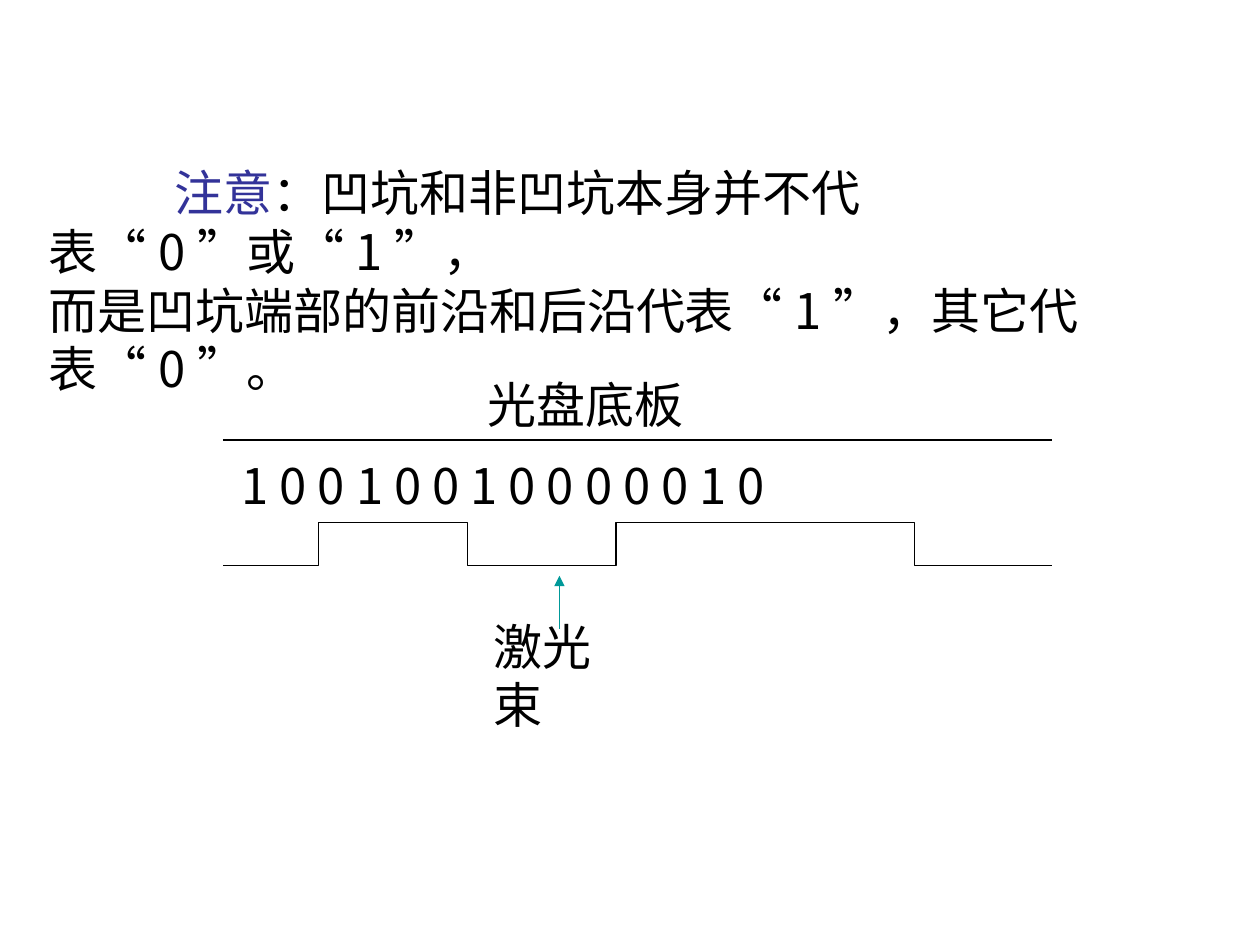
from itertools import groupby

from lxml import etree
from pptx import Presentation
from pptx.dml.color import RGBColor
from pptx.enum.shapes import MSO_CONNECTOR
from pptx.oxml.ns import qn
from pptx.util import Inches, Pt

STRAIGHT = MSO_CONNECTOR.STRAIGHT
CJK = "Noto Sans CJK SC"
LATIN = "Times New Roman"
BLACK, INDIGO, TEAL = "000000", "333399", "009999"
QUOTES = "“”"


def rgb(value):
    return RGBColor.from_string(value)


def add_run(p, text, font=CJK, size=28, color=BLACK):
    r = p.add_run()
    r.text = text
    r.font.size = Pt(size)
    r.font.name = font
    r.font.color.rgb = rgb(color)
    etree.SubElement(r.font._element, qn("a:ea")).set("typeface", CJK)


def add_box(s, x, y, w, h, wrap=True):
    sp = s.shapes.add_textbox(Inches(x), Inches(y), Inches(w), Inches(h))
    sp.text_frame.word_wrap = wrap
    return sp.text_frame


def add_label(s, text, x, y, w, h=0.57, **fmt):
    tf = add_box(s, x, y, w, h, wrap=fmt.pop("wrap", False))
    add_run(tf.paragraphs[0], text, **fmt)


def add_quoted(p, text):
    for is_quote, chars in groupby(text, lambda c: c in QUOTES):
        add_run(p, "".join(chars), font=LATIN if is_quote else CJK)


def add_line(s, x1, y1, x2, y2, color=BLACK, width=1, arrow=False):
    c = s.shapes.add_connector(STRAIGHT, Inches(x1), Inches(y1), Inches(x2), Inches(y2))
    c.line.color.rgb = rgb(color)
    c.line.width = Pt(width)
    if arrow:
        ln = c.line._get_or_add_ln()
        etree.SubElement(ln, qn("a:headEnd")).set("type", "triangle")
    etree.SubElement(c._element.spPr, qn("a:effectLst"))


def add_note(s, x, y, w, h):
    tf = add_box(s, x, y, w, h)
    p = tf.paragraphs[0]
    p._p.get_or_add_pPr().set("indent", str(Inches(1)))
    add_run(p, "注意", color=INDIGO)
    add_quoted(p, "：凹坑和非凹坑本身并不代表“0”或“1”，")
    add_quoted(tf.add_paragraph(), "而是凹坑端部的前沿和后沿代表“1”，其它代表“0”。")


def add_pit_profile(s, x, y, w, h):
    edges = [0.76, 1.94, 3.12, 5.49]
    points, level = [], h
    for edge in edges:
        points.append((edge, level))
        level = h - level
        points.append((edge, level))
    points.append((w, level))
    fb = s.shapes.build_freeform(Inches(x), Inches(y + h))
    fb.add_line_segments([(Inches(x + dx), Inches(y + dy)) for dx, dy in points], close=False)
    sp = fb.convert_to_shape()
    sp.shadow.inherit = False
    sp.fill.background()
    sp.line.color.rgb = rgb(BLACK)
    sp.line.width = Pt(0.75)


def add_disc_diagram(s, x, y, w):
    add_label(s, "光盘底板", x + 2, y, 1.75, font=LATIN)
    add_line(s, x, y + 0.57, x + w, y + 0.57)
    add_label(s, "1 0 0 1 0 0 1 0 0 0 0 0 1 0", x + 0.05, y + 0.65, 6.51, wrap=True)
    add_pit_profile(s, x, y + 1.23, w, 0.34)
    add_line(s, x + 2.67, y + 1.65, x + 2.67, y + 2.07, color=TEAL, width=0.75, arrow=True)
    add_label(s, "激光束", x + 2.05, y + 1.92, 1.36, font=LATIN)


def main():
    prs = Presentation()
    prs.slide_width, prs.slide_height = Inches(10), Inches(7.5)
    s = prs.slides.add_slide(prs.slide_layouts[6])
    add_note(s, 0.29, 1.24, 9.7, 1.98)
    add_disc_diagram(s, 1.77, 2.92, 6.58)
    prs.save("out.pptx")


if __name__ == "__main__":
    main()
